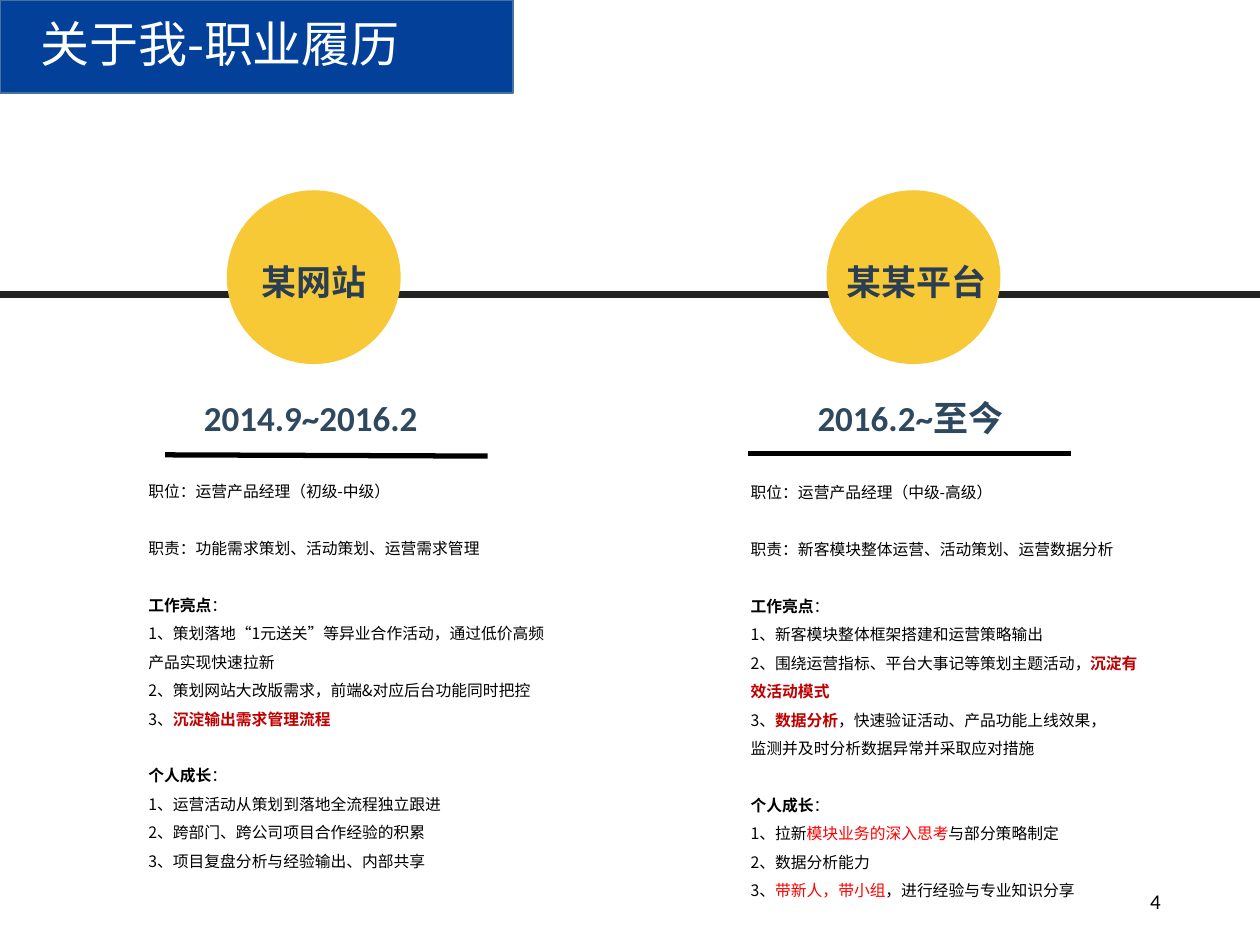
from lxml.etree import SubElement
from pptx import Presentation
from pptx.dml.color import RGBColor
from pptx.enum.shapes import MSO_CONNECTOR, MSO_SHAPE
from pptx.enum.text import MSO_ANCHOR, MSO_AUTO_SIZE, PP_ALIGN
from pptx.oxml.ns import qn
from pptx.util import Inches, Pt

BLUE = RGBColor(0x03, 0x40, 0x99)
BLUE_EDGE = RGBColor(0x43, 0x73, 0x9E)
YELLOW = RGBColor(0xF8, 0xC9, 0x37)
NAVY = RGBColor(0x29, 0x3D, 0x53)
SLATE = RGBColor(0x2E, 0x48, 0x60)
CHARCOAL = RGBColor(0x23, 0x23, 0x23)
BLACK = RGBColor(0, 0, 0)
WHITE = RGBColor(0xFF, 0xFF, 0xFF)
DARK_RED = RGBColor(0xC0, 0, 0)
RED = RGBColor(0xFF, 0, 0)

HAN = "Noto Sans CJK SC"
LATIN = "Calibri"
COLUMNS, ROWS = 100, 75
LINE_PITCH = Pt(16.25)


class ResumePage:
    def __init__(self, deck):
        self.page = deck.slides.add_slide(deck.slide_layouts[5])
        self.column = deck.slide_width / COLUMNS
        self.row = deck.slide_height / ROWS

    def place(self, left, top, width, height):
        return (round(left * self.column), round(top * self.row),
                round(width * self.column), round(height * self.row))

    def add_span(self, para, text, size, color=BLACK, bold=False, font=HAN):
        span = para.add_run()
        span.text = text
        span.font.size = Pt(size)
        span.font.bold = bold
        span.font.name = font
        span.font.color.rgb = color
        SubElement(span.font._element, qn("a:ea")).set("typeface", HAN)

    def shape(self, kind, area, fill, edge=None):
        shape = self.page.shapes.add_shape(kind, *self.place(*area))
        shape.shadow.inherit = False
        shape.fill.solid()
        shape.fill.fore_color.rgb = fill
        if edge is None:
            shape.line.fill.background()
        else:
            shape.line.color.rgb = edge
            shape.line.width = Pt(1)

    def line(self, start, end, color, width):
        line = self.page.shapes.add_connector(
            MSO_CONNECTOR.STRAIGHT, *self.place(*start, *end))
        line.line.color.rgb = color
        line.line.width = Pt(width)
        SubElement(line._element.spPr, qn("a:effectLst"))

    def title(self, area, text):
        title = self.page.shapes.title
        self.page.shapes._spTree.append(title._element)
        title.left, title.top, title.width, title.height = self.place(*area)
        frame = title.text_frame
        frame.auto_size = MSO_AUTO_SIZE.NONE
        frame.vertical_anchor = MSO_ANCHOR.TOP
        para = frame.paragraphs[0]
        para.alignment = PP_ALIGN.LEFT
        self.add_span(para, text, 28, WHITE)

    def box(self, area):
        frame = self.page.shapes.add_textbox(*self.place(*area)).text_frame
        frame.word_wrap = True
        return frame

    def label(self, area, text, size, color, bold=True, align=PP_ALIGN.LEFT,
              anchor=MSO_ANCHOR.TOP):
        frame = self.box(area)
        frame.vertical_anchor = anchor
        para = frame.paragraphs[0]
        para.alignment = align
        self.add_span(para, text, size, color, bold, LATIN)

    def details(self, area, sections):
        frame = self.box(area)
        para = frame.paragraphs[0]
        for number, section in enumerate(sections):
            for position, spans in enumerate(section):
                if number or position:
                    para = frame.add_paragraph()
                para.line_spacing = LINE_PITCH
                if number and not position:
                    para.space_before = LINE_PITCH
                for text, *style in spans:
                    self.add_span(para, text, 9, *style)

    def job(self, job):
        self.shape(MSO_SHAPE.OVAL, (job["circle"], 15.1, 13.8, 13.8), YELLOW)
        self.label((job["name_left"], 20.2, 21, 4.4), job["name"], 20, NAVY)
        self.label((job["period_left"], 31, 29.6, 4.4), job["period"], 20, SLATE)
        rule, start, end = job["rule"]
        self.line((rule, start), (rule + 25.6, end), BLACK, 3)
        self.details(job["area"], job["sections"])


def heading(text):
    return [(text, BLACK, True), ("：",)]


JOBS = [
    {
        "name": "某网站", "period": "2014.9~2016.2",
        "circle": 18, "name_left": 19.8, "period_left": 15.2,
        "rule": (13.1, 36.1, 36.2), "area": (10.8, 37, 33.4, 32.8),
        "sections": [
            [[("职位：运营产品经理（初级-中级）",)]],
            [[("职责：功能需求策划、活动策划、运营需求管理",)]],
            [heading("工作亮点"),
             [("1、策划落地“1元送关”等异业合作活动，通过低价高频产品实现快速拉新",)],
             [("2、策划网站大改版需求，前端&对应后台功能同时把控",)],
             [("3、",), ("沉淀输出需求管理流程", DARK_RED, True)]],
            [heading("个人成长"),
             [("1、运营活动从策划到落地全流程独立跟进",)],
             [("2、跨部门、跨公司项目合作经验的积累",)],
             [("3、项目复盘分析与经验输出、内部共享",)]],
        ],
    },
    {
        "name": "某某平台", "period": "2016.2~至今",
        "circle": 65.6, "name_left": 66.2, "period_left": 63.9,
        "rule": (59.4, 36, 36), "area": (58.6, 37.1, 33.6, 37),
        "sections": [
            [[("职位：运营产品经理（中级-高级）",)]],
            [[("职责：新客模块整体运营、活动策划、运营数据分析",)]],
            [heading("工作亮点"),
             [("1、新客模块整体框架搭建和运营策略输出",)],
             [("2、围绕运营指标、平台大事记等策划主题活动，",),
              ("沉淀有效活动模式", DARK_RED, True)],
             [("3、",), ("数据分析", DARK_RED, True),
              ("，快速验证活动、产品功能上线效果，",)],
             [("监测并及时分析数据异常并采取应对措施",)]],
            [heading("个人成长"),
             [("1、拉新",), ("模块业务的深入思考", RED), ("与部分策略制定",)],
             [("2、数据分析能力",)],
             [("3、",), ("带新人，带小组", RED), ("，进行经验与专业知识分享",)]],
        ],
    },
]

deck = Presentation()
deck.slide_width, deck.slide_height = Inches(10), Inches(7.5)
resume = ResumePage(deck)
resume.label((70.6, 69.5, 22.5, 4), "4", 12, BLACK, False,
             PP_ALIGN.RIGHT, MSO_ANCHOR.MIDDLE)
resume.shape(MSO_SHAPE.RECTANGLE, (0, 0, 40.7, 7.4), BLUE, BLUE_EDGE)
resume.title((2.2, 0.6, 41.9, 5.7), "关于我-职业履历")
resume.line((0, 23.4), (COLUMNS, 23.4), CHARCOAL, 4)
for job in JOBS:
    resume.job(job)
deck.save("out.pptx")
